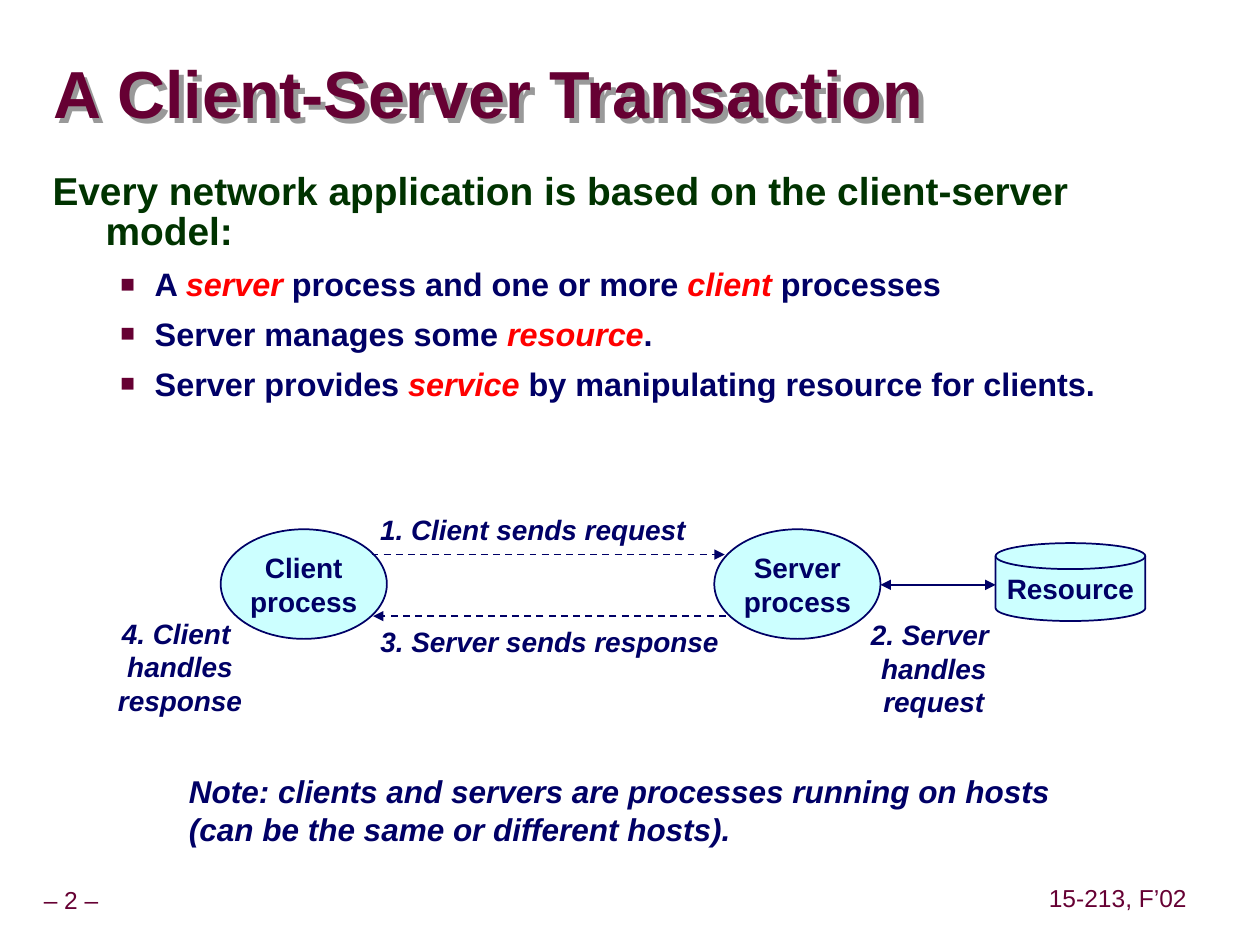
from typing import NamedTuple

from lxml.etree import SubElement
from pptx import Presentation
from pptx.dml.color import RGBColor
from pptx.enum.dml import MSO_LINE as Dash
from pptx.enum.shapes import MSO_CONNECTOR as Wire, MSO_SHAPE as Kind
from pptx.enum.text import MSO_ANCHOR as Anchor, MSO_AUTO_SIZE as Auto, PP_ALIGN as Align
from pptx.oxml.ns import qn
from pptx.util import Cm, Pt

WINE = RGBColor(0x66, 0x00, 0x33)
NAVY = RGBColor(0x00, 0x00, 0x66)
GREEN = RGBColor(0x00, 0x33, 0x00)
RED = RGBColor(0xFF, 0x00, 0x00)
AQUA = RGBColor(0xCC, 0xFF, 0xFF)
GREY = RGBColor(0x99, 0x99, 0x99)


class Box(NamedTuple):
    x: float
    y: float
    w: float
    h: float


class Look(NamedTuple):
    size: float
    color: RGBColor = NAVY
    bold: bool = True
    slant: bool = False
    align: Align = Align.CENTER
    space: float = 1.0


class Node(NamedTuple):
    kind: Kind
    box: Box
    lines: list[str]


class Label(NamedTuple):
    box: Box
    lines: list[str]
    look: Look
    pad: float = 0.25


class Link(NamedTuple):
    start: float
    end: float
    y: float
    dash: bool = True
    both: bool = False


PLAIN = Look(16)
STEP = Look(16, slant=True)
FOOT = Look(14, WINE, bold=False, space=0.9)
HEAD = Look(38, WINE, align=Align.LEFT, space=0.87)
LEAD = Look(22.2, GREEN, align=Align.LEFT, space=0.85)
POINT = Look(18.5, align=Align.LEFT)
NOTE = Look(18, slant=True, align=Align.LEFT)

NODES = [
    Node(Kind.OVAL, Box(4.45, 10.67, 3.35, 2.21), ["Client", "process"]),
    Node(Kind.OVAL, Box(14.4, 10.67, 3.35, 2.21), ["Server", "process"]),
    Node(Kind.FLOWCHART_MAGNETIC_DISK, Box(20.07, 10.95, 3.02, 1.57), ["Resource"]),
]
LINKS = [
    Link(7.49, 14.61, 11.18),
    Link(14.63, 7.52, 12.42),
    Link(17.75, 20.07, 11.79, dash=False, both=True),
]
LABELS = [
    Label(Box(7.42, 10.21, 6.65, 0.94), ["1. Client sends request"], STEP),
    Label(Box(17.3, 12.32, 3.05, 2.29), ["2. Server ", "handles", "request"], STEP),
    Label(Box(7.42, 12.45, 7.32, 0.94), ["3. Server sends response"], STEP),
    Label(Box(2.13, 12.29, 3, 2.29), ["4. Client ", "handles", "response"], STEP),
    Label(Box(3.56, 15.44, 18.03, 1.78),
          ["Note: clients and servers are processes running on hosts",
           "(can be the same or different hosts)."], NOTE),
    Label(Box(-0.23, 17.78, 3.33, 0.79), ["– 2 –"], FOOT, 0.13),
    Label(Box(21.01, 17.75, 3.05, 0.79), ["15-213, F’02"], FOOT, 0.13),
]
POINTS = [
    ["A ", "server", " process and one or more ", "client ", "processes"],
    ["Server manages some ", "resource", "."],
    ["Server provides ", "service", " by manipulating resource for clients."],
]


def place(box: Box) -> tuple:
    return tuple(Cm(side) for side in box)


def style(para, look: Look) -> None:
    para.alignment = look.align
    para.line_spacing = look.space
    font = para.font
    font.name = "Arial"
    font.size = Pt(look.size)
    font.bold = look.bold
    font.italic = look.slant
    font.color.rgb = look.color


def frame(shape, pad: float, wrap: bool = False, anchor: Anchor = Anchor.MIDDLE):
    text = shape.text_frame
    text.auto_size = Auto.NONE
    text.word_wrap = wrap
    text.vertical_anchor = anchor
    text.margin_left = text.margin_right = Cm(pad)
    text.margin_top = text.margin_bottom = Cm(min(pad, 0.13))
    return text


def write(text, lines: list[str], look: Look) -> None:
    text.text = "\n".join(lines)
    for para in text.paragraphs:
        style(para, look)


def add_node(slide, node: Node) -> None:
    shape = slide.shapes.add_shape(node.kind, *place(node.box))
    shape.shadow.inherit = False
    shape.fill.solid()
    shape.fill.fore_color.rgb = AQUA
    shape.line.color.rgb = NAVY
    shape.line.width = Pt(1)
    write(frame(shape, 0.25), node.lines, PLAIN)


def add_label(slide, label: Label) -> None:
    shape = slide.shapes.add_textbox(*place(label.box))
    write(frame(shape, label.pad), label.lines, label.look)


def add_link(slide, link: Link) -> None:
    wire = slide.shapes.add_connector(
        Wire.STRAIGHT, Cm(link.start), Cm(link.y), Cm(link.end), Cm(link.y))
    line = wire.line
    line.color.rgb = NAVY
    line.width = Pt(1)
    if link.dash:
        line.dash_style = Dash.DASH
    props = wire._element.spPr
    stroke = props.find(qn("a:ln"))
    for tip in ["headEnd", "tailEnd"] if link.both else ["tailEnd"]:
        SubElement(stroke, qn(f"a:{tip}"), type="triangle")
    SubElement(props, qn("a:effectLst"))


def add_title(slide) -> None:
    title = slide.shapes.title
    title.left, title.top, title.width, title.height = place(Box(1.07, 1.17, 19.89, 1.6))
    write(frame(title, 0, wrap=True), ["A Client-Server Transaction"], HEAD)
    effect = SubElement(title._element.spPr, qn("a:effectLst"))
    shade = SubElement(effect, qn("a:outerShdw"), dist=str(Pt(4)), dir="2700000",
                       algn="ctr", rotWithShape="0")
    SubElement(shade, qn("a:srgbClr"), val=str(GREY))


def indent(para, left: float, hang: float) -> None:
    props = para._p.get_or_add_pPr()
    props.set("marL", str(Cm(left)))
    props.set("indent", str(Cm(-hang)))


def add_bullet(para) -> None:
    props = para._p.get_or_add_pPr()
    tint = SubElement(props, qn("a:buClr"))
    SubElement(tint, qn("a:srgbClr"), val=str(WINE))
    SubElement(props, qn("a:buSzPct"), val="75000")
    SubElement(props, qn("a:buFont"), typeface="Arial")
    SubElement(props, qn("a:buChar"), char="■")


def add_body(slide) -> None:
    shape = slide.shapes.add_textbox(*place(Box(0.81, 3.38, 23.09, 5.72)))
    text = frame(shape, 0.25, wrap=True, anchor=Anchor.TOP)
    write(text, ["Every network application is based on the client-server model:"], LEAD)
    indent(text.paragraphs[0], 1.07, 1.07)
    for parts in POINTS:
        para = text.add_paragraph()
        para.level = 1
        indent(para, 2.06, 0.69)
        add_bullet(para)
        para.space_before = Pt(6.2)
        style(para, POINT)
        for spot, part in enumerate(parts):
            run = para.add_run()
            run.text = part
            if spot % 2:
                run.font.color.rgb = RED
                run.font.italic = True


def main() -> None:
    deck = Presentation()
    deck.slide_width, deck.slide_height = Cm(25.4), Cm(19.05)
    slide = deck.slides.add_slide(deck.slide_layouts[5])
    add_title(slide)
    add_body(slide)
    for draw, items in [(add_node, NODES), (add_link, LINKS), (add_label, LABELS)]:
        for item in items:
            draw(slide, item)
    deck.save("out.pptx")


if __name__ == "__main__":
    main()
